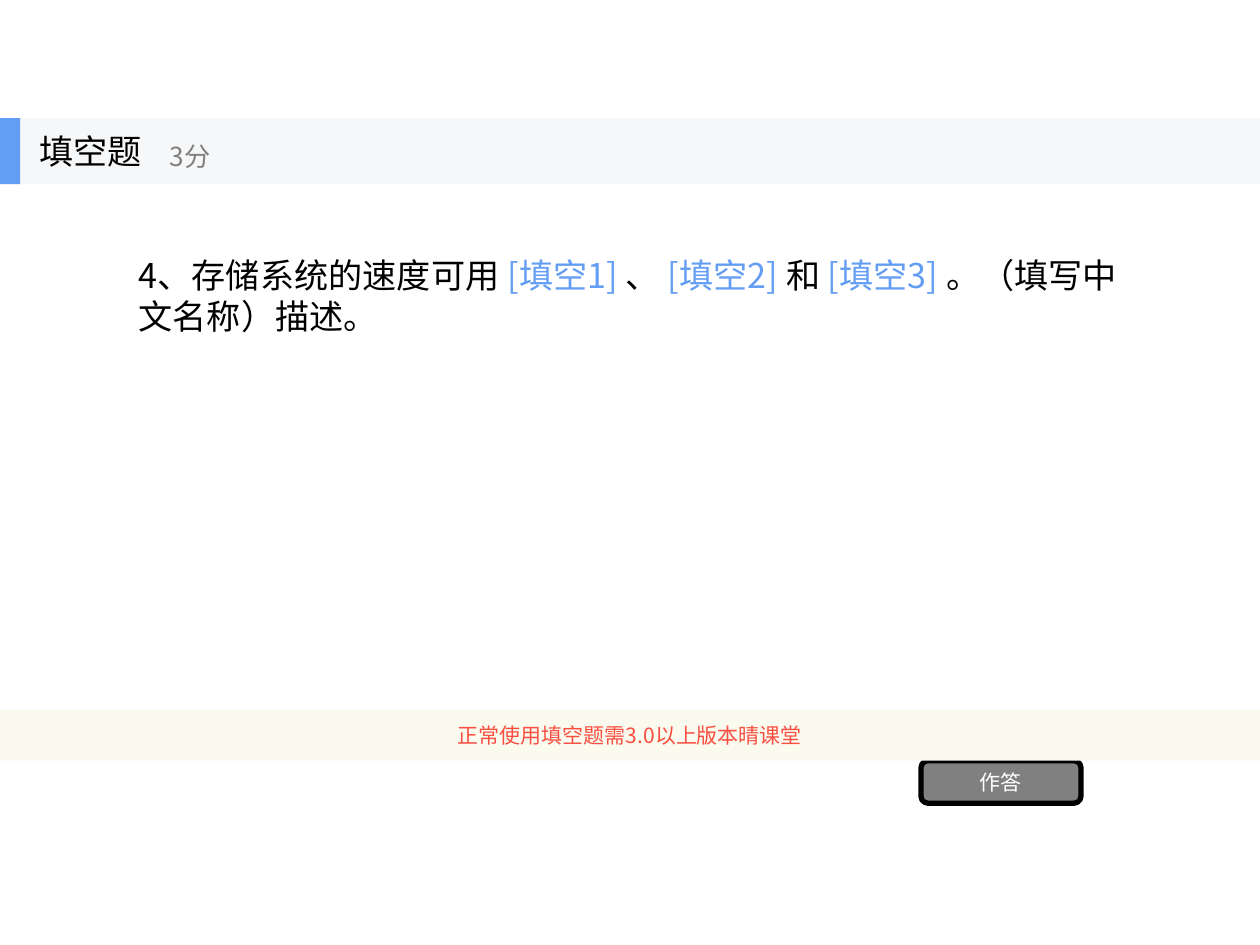
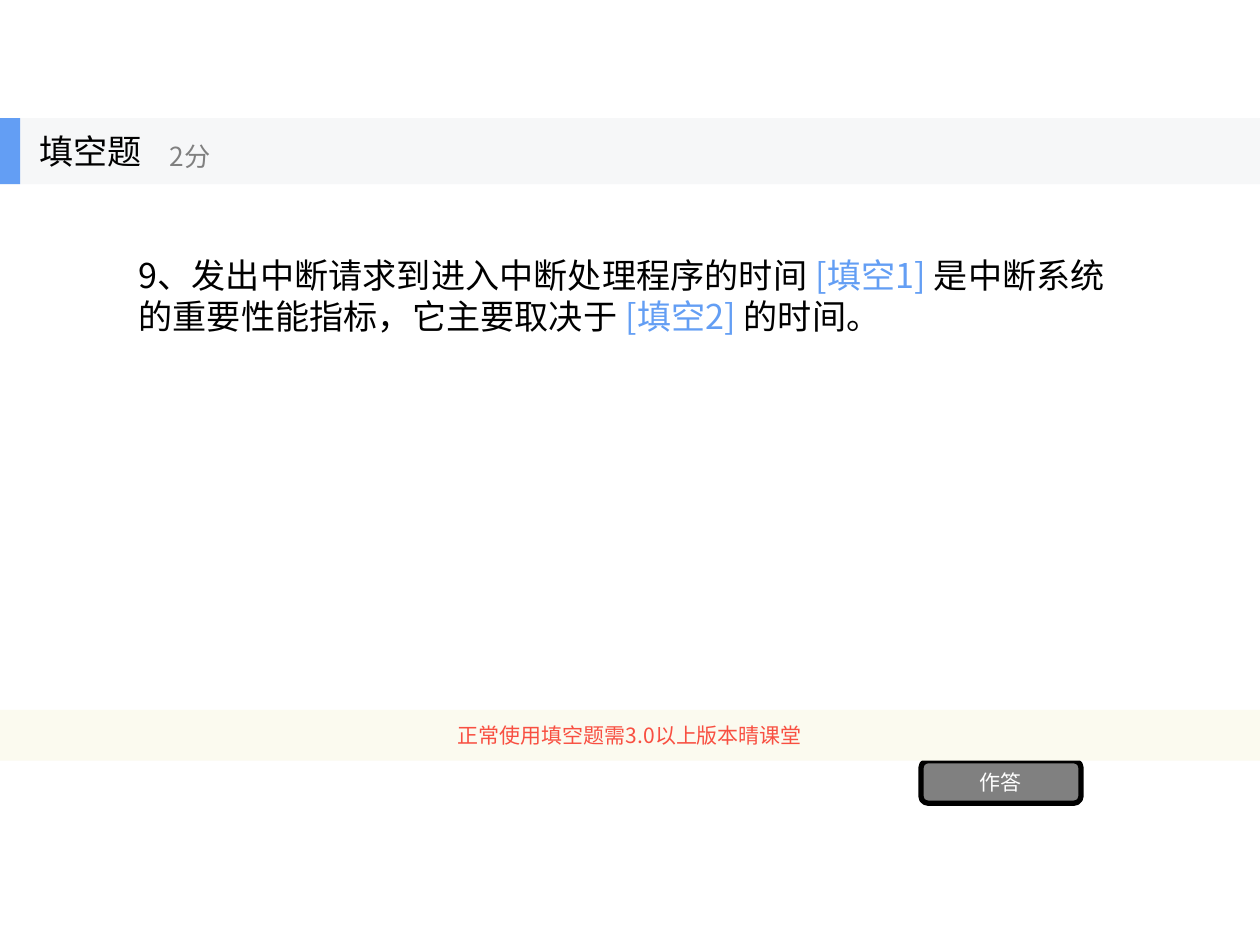
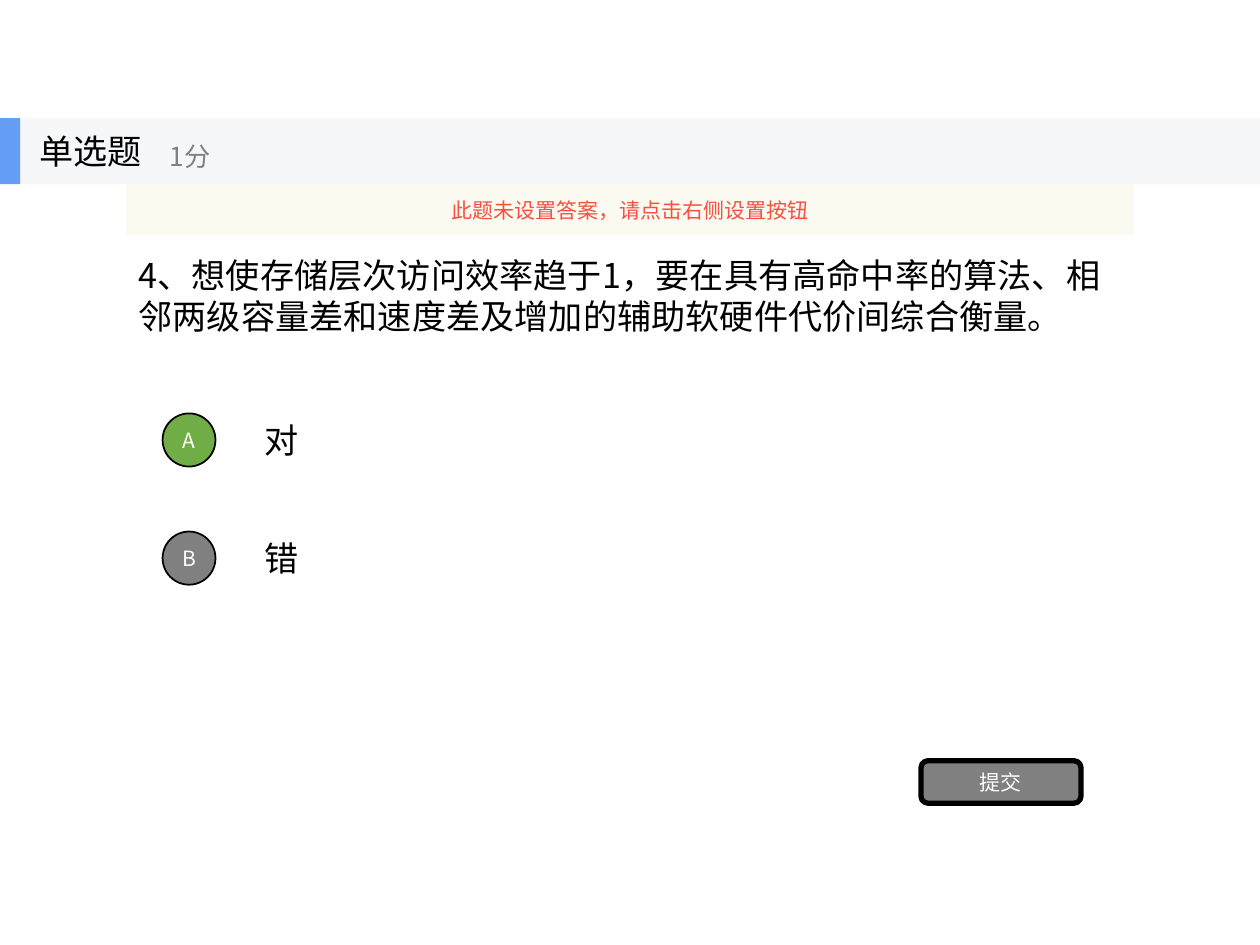
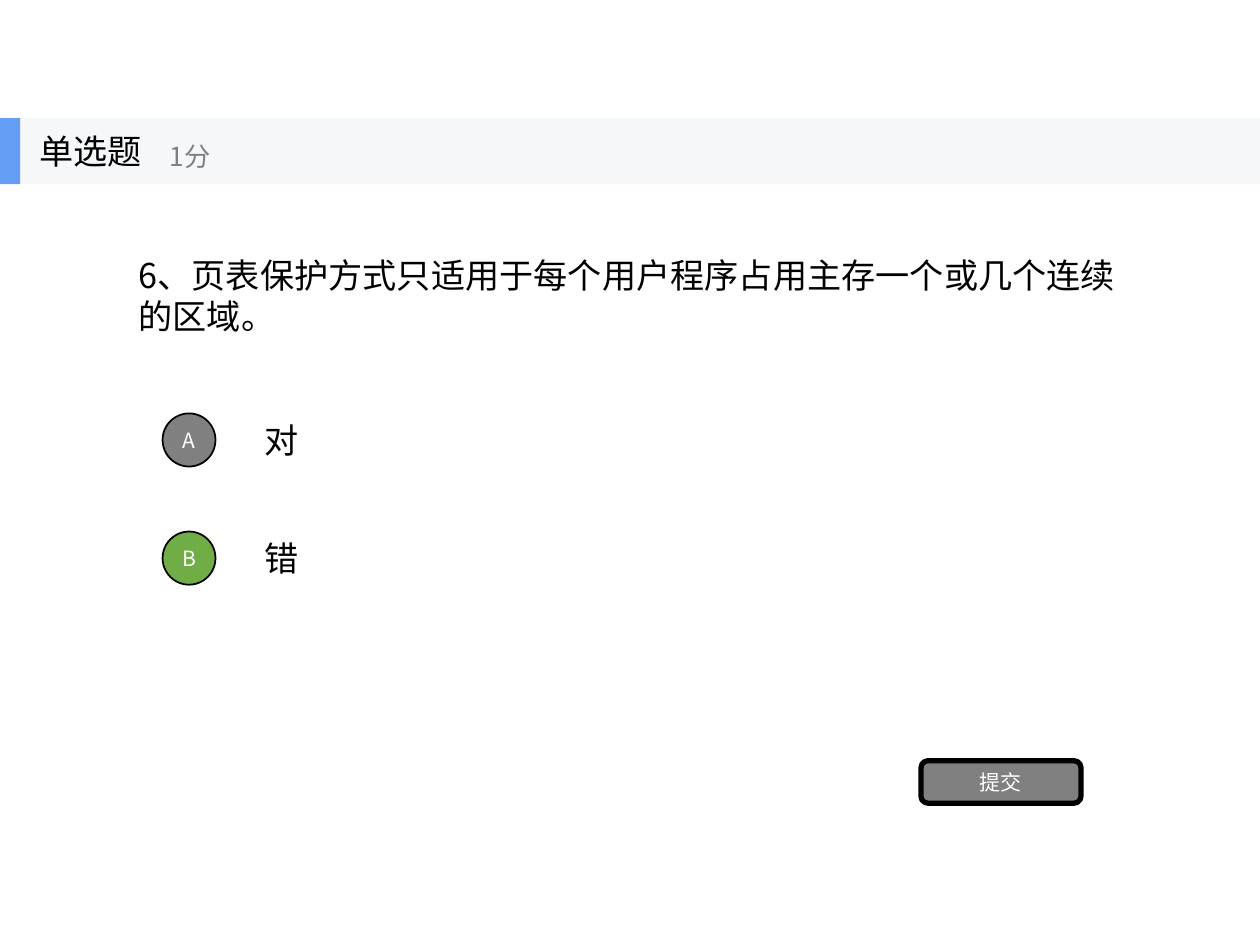
from dataclasses import dataclass

import lxml.etree
import pptx
import pptx.dml.color
import pptx.enum.shapes
import pptx.enum.text
import pptx.oxml.ns
import pptx.util

FONT = "Noto Sans CJK SC"
BLACK, WHITE, GRAY = "000000", "FFFFFF", "808080"
BLUE, GREEN, RED = "639EF4", "70AD47", "F84F41"
BAND, CREAM = "F6F7F8", "FBFAEF"
TEXT_SIZE, SCORE_SIZE, SMALL_SIZE = 19.5, 15, 12

WIDTH, HEIGHT = pptx.util.Inches(10), pptx.util.Inches(7.5)
COLS, ROWS = 10, 8
HEADER_ROW, HEADER_ROWS = 1, 0.56
BODY_ROW, BODY_ROWS = HEADER_ROW + HEADER_ROWS, 1.88
OPTION_ROW, OPTION_ROWS = BODY_ROW + BODY_ROWS, 0.57
BUTTON_ROW, NOTICE_ROWS = 6.44, 0.43
BADGE_COLS, BADGE_ROWS = 0.42, 0.45

SHAPE = pptx.enum.shapes.MSO_SHAPE
ALIGN = pptx.enum.text.PP_ALIGN


@dataclass(frozen=True)
class Box:
    col: float
    row: float
    cols: float
    rows: float

    def emu(self) -> tuple[int, int, int, int]:
        return (round(self.col * WIDTH / COLS), round(self.row * HEIGHT / ROWS),
                round(self.cols * WIDTH / COLS), round(self.rows * HEIGHT / ROWS))


@dataclass(frozen=True)
class Notice:
    text: str
    box: Box
    alpha: int = 100


@dataclass(frozen=True)
class Question:
    kind: str
    score: str
    wording: tuple[str, ...]
    button: str
    notice: Notice | None = None
    options: tuple[str, ...] = ()
    answer: str = ""


def rgb(color: str) -> pptx.dml.color.RGBColor:
    return pptx.dml.color.RGBColor.from_string(color)


def style_run(r, size: float, color: str) -> None:
    r.font.size = pptx.util.Pt(size)
    r.font.color.rgb = rgb(color)
    r.font.name = FONT
    rpr = r._r.get_or_add_rPr()
    rpr.set("lang", "zh-CN")
    ea = lxml.etree.SubElement(rpr, pptx.oxml.ns.qn("a:ea"))
    ea.set("typeface", FONT)


def write(sp, text: str, size: float, color: str, align=ALIGN.LEFT) -> None:
    tf = sp.text_frame
    tf.word_wrap = True
    tf.auto_size = pptx.enum.text.MSO_AUTO_SIZE.NONE
    tf.vertical_anchor = pptx.enum.text.MSO_ANCHOR.MIDDLE
    tf.text = text
    p = tf.paragraphs[0]
    p.alignment = align
    p.space_before = pptx.util.Pt(0)
    for r in p.runs:
        style_run(r, size, color)


def place(sp, box: Box) -> None:
    sp.left, sp.top, sp.width, sp.height = box.emu()


def add_text(shapes, box: Box, text: str, size: float, color: str) -> None:
    write(shapes.add_textbox(*box.emu()), text, size, color)


def add_block(shapes, kind, box: Box, fill: str, line: float = 0, text: str = "",
              color: str = WHITE, alpha: int = 100) -> None:
    sp = shapes.add_shape(kind, *box.emu())
    sp.shadow.inherit = False
    sp.fill.solid()
    sp.fill.fore_color.rgb = rgb(fill)
    if alpha < 100:
        clr = sp._element.spPr.find(".//" + pptx.oxml.ns.qn("a:srgbClr"))
        lxml.etree.SubElement(clr, pptx.oxml.ns.qn("a:alpha")).set("val", str(alpha * 1000))
    if line:
        sp.line.color.rgb = rgb(BLACK)
        sp.line.width = pptx.util.Pt(line)
    else:
        sp.line.fill.background()
    if text:
        write(sp, text, SMALL_SIZE, color, ALIGN.CENTER)
        if kind == SHAPE.OVAL:
            tf = sp.text_frame
            tf.margin_left = tf.margin_right = tf.margin_top = tf.margin_bottom = 0


def add_header(slide, question: Question) -> None:
    shapes = slide.shapes.add_group_shape().shapes
    add_block(shapes, SHAPE.RECTANGLE, Box(0, HEADER_ROW, COLS, HEADER_ROWS), BAND)
    add_block(shapes, SHAPE.RECTANGLE, Box(0, HEADER_ROW, 0.16, HEADER_ROWS), BLUE)
    add_text(shapes, Box(1.25, 1.1, 1.88, 0.45), question.score, SCORE_SIZE, GRAY)
    title = slide.shapes.title
    place(title, Box(0.21, HEADER_ROW, 1.56, HEADER_ROWS))
    write(title, question.kind, TEXT_SIZE, BLACK)
    title._element.getparent().append(title._element)


def add_body(slide, wording: tuple[str, ...]) -> None:
    body = slide.placeholders[1]
    place(body, Box(1, BODY_ROW, 8, BODY_ROWS))
    write(body, "", TEXT_SIZE, BLACK)
    p = body.text_frame.paragraphs[0]
    ppr = p._p.get_or_add_pPr()
    ppr.set("marL", "0")
    ppr.set("indent", "0")
    lxml.etree.SubElement(ppr, pptx.oxml.ns.qn("a:buNone"))
    for phrase in wording:
        r = p.add_run()
        r.text = phrase
        style_run(r, TEXT_SIZE, BLUE if phrase.startswith("[") else BLACK)


def add_options(slide, options: tuple[str, ...], answer: str) -> None:
    for i, (letter, text) in enumerate(zip("ABCD", options)):
        row = OPTION_ROW + i
        add_text(slide.shapes, Box(2, row, 7, OPTION_ROWS), text, TEXT_SIZE, BLACK)
        badge = Box(1.5 - BADGE_COLS / 2, row + (OPTION_ROWS - BADGE_ROWS) / 2,
                    BADGE_COLS, BADGE_ROWS)
        add_block(slide.shapes, SHAPE.OVAL, badge, GREEN if letter == answer else GRAY,
                  line=1, text=letter)


def add_question(prs, question: Question) -> None:
    slide = prs.slides.add_slide(prs.slide_layouts[1])
    add_body(slide, question.wording)
    add_options(slide, question.options, question.answer)
    add_block(slide.shapes, SHAPE.ROUNDED_RECTANGLE, Box(7.31, BUTTON_ROW, 1.27, 0.36),
              GRAY, line=3, text=question.button)
    if question.notice:
        notice = question.notice
        add_block(slide.shapes, SHAPE.RECTANGLE, notice.box, CREAM, text=notice.text,
                  color=RED, alpha=notice.alpha)
    add_header(slide, question)


VERSION_NOTICE = Notice("正常使用填空题需3.0以上版本晴课堂",
                        Box(0, BUTTON_ROW - NOTICE_ROWS, COLS, NOTICE_ROWS))
ANSWER_NOTICE = Notice("此题未设置答案，请点击右侧设置按钮",
                       Box(1, BODY_ROW, 8, NOTICE_ROWS), alpha=90)
TRUE_FALSE = ("对", "错")

QUESTIONS = (
    Question("填空题", "3分",
             ("4、存储系统的速度可用 ", "[填空1] ", "、 ", "[填空2] ", "和 ", "[填空3] ",
              "。（填写中文名称）描述。"),
             "作答", VERSION_NOTICE),
    Question("填空题", "2分",
             ("9、发出中断请求到进入中断处理程序的时间 ", "[填空1] ",
              "是中断系统的重要性能指标，它主要取决于 ", "[填空2] ", "的时间。"),
             "作答", VERSION_NOTICE),
    Question("单选题", "1分",
             ("4、想使存储层次访问效率趋于1，要在具有高命中率的算法、"
              "相邻两级容量差和速度差及增加的辅助软硬件代价间综合衡量。",),
             "提交", ANSWER_NOTICE, TRUE_FALSE, "A"),
    Question("单选题", "1分",
             ("6、页表保护方式只适用于每个用户程序占用主存一个或几个连续的区域。",),
             "提交", None, TRUE_FALSE, "B"),
)


def main() -> None:
    prs = pptx.Presentation()
    prs.slide_width, prs.slide_height = WIDTH, HEIGHT
    for question in QUESTIONS:
        add_question(prs, question)
    prs.save("out.pptx")


if __name__ == "__main__":
    main()
